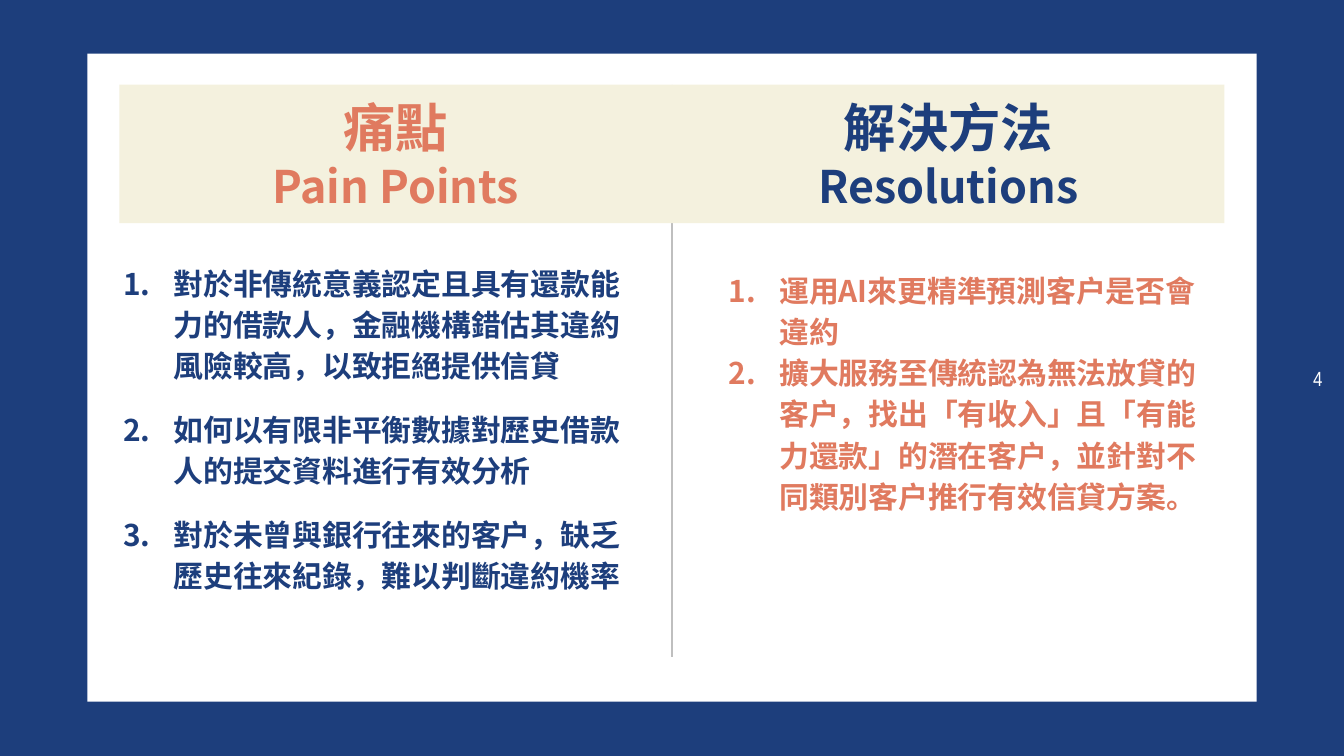
from pptx import Presentation
from pptx.dml.color import RGBColor as Rgb
from pptx.enum.shapes import MSO_CONNECTOR as Conn, MSO_SHAPE as Kind
from pptx.enum.text import MSO_ANCHOR as Anchor, PP_ALIGN as Align
from pptx.oxml.ns import qn
from pptx.util import Pt
from lxml.etree import SubElement as Sub

NAVY, CORAL, CREAM, WHITE, GREY = "1D3E7C", "E07A5F", "F4F1DE", "FFFFFF", "BFBFBF"
FACE = "Noto Sans CJK TC"
MID, TOP = 360, 45.4

PAINS = [
    "對於非傳統意義認定且具有還款能力的借款人，金融機構錯估其違約風險較高，以致拒絕提供信貸",
    "如何以有限非平衡數據對歷史借款人的提交資料進行有效分析",
    "對於未曾與銀行往來的客戶，缺乏歷史往來紀錄，難以判斷違約機率",
]
FIXES = [
    "運用AI來更精準預測客戶是否會違約",
    "擴大服務至傳統認為無法放貸的客戶，找出「有收入」且「有能力還款」的潛在客戶，"
    "並針對不同類別客戶推行有效信貸方案。",
]


def paint(part, hue):
    """Give a fill or line format one solid colour."""
    part.solid()
    part.fore_color.rgb = Rgb.from_string(hue)


def apply(item, form):
    """Set every attribute named in a dict of format values."""
    for key, val in form.items():
        setattr(item, key, val)


def style(run, size, hue, bold=True, face=FACE):
    """Set the font of a run for Latin and East Asian text."""
    apply(run.font, {"name": face, "size": Pt(size), "bold": bold})
    paint(run.font.fill, hue)
    Sub(run.font._element, qn("a:ea"), typeface=face)


def frame(shape, pad_x, pad_y, anchor):
    """Set wrapping, padding and anchor, and return the text frame."""
    text = shape.text_frame
    apply(text, {
        "word_wrap": True, "vertical_anchor": anchor,
        "margin_left": Pt(pad_x), "margin_right": Pt(pad_x),
        "margin_top": Pt(pad_y), "margin_bottom": Pt(pad_y),
    })
    return text


def rect(slide, box, hue):
    """Add a plain filled rectangle."""
    shape = slide.shapes.add_shape(Kind.RECTANGLE, *map(Pt, box))
    shape.shadow.inherit = False
    paint(shape.fill, hue)
    shape.line.fill.background()
    return shape


def rule(slide, x, top, end):
    """Add a thin upright divider."""
    line = slide.shapes.add_connector(Conn.STRAIGHT, Pt(x), Pt(top), Pt(x), Pt(end))
    paint(line.line.fill, GREY)
    line.line.width = Pt(1)
    Sub(line._element.spPr, qn("a:effectLst"))


def head(slide, left, title, sub, hue):
    """Add a column heading in two languages."""
    shape = rect(slide, (left, TOP, 296, 74.2), CREAM)
    text = frame(shape, 7.2, 7.2, Anchor.MIDDLE)
    for num, (words, size) in enumerate([(title, 28), (sub, 24)]):
        para = text.add_paragraph() if num else text.paragraphs[0]
        para.alignment = Align.CENTER
        run = para.add_run()
        run.text = words
        style(run, size, hue)


def steps(slide, box, pad, items, hue, left, gap=0):
    """Add a numbered list with a hanging indent."""
    shape = slide.shapes.add_textbox(*map(Pt, box))
    text = frame(shape, 7.2, pad, Anchor.TOP)
    for num, words in enumerate(items):
        para = text.add_paragraph() if num else text.paragraphs[0]
        apply(para, {"line_spacing": 1.15, "space_before": Pt(gap if num else 0)})
        prop = para._p.get_or_add_pPr()
        prop.set("marL", str(Pt(left)))
        prop.set("indent", str(Pt(-27)))
        tint = Sub(prop, qn("a:buClr"))
        Sub(tint, qn("a:srgbClr"), val=hue)
        Sub(prop, qn("a:buFont"), typeface=FACE)
        Sub(prop, qn("a:buAutoNum"), type="arabicPeriod")
        run = para.add_run()
        run.text = words
        style(run, 16, hue)


def page(slide, num):
    """Add the page number at the right edge."""
    shape = slide.shapes.add_textbox(Pt(665.3), Pt(0), Pt(43.2), Pt(405))
    para = frame(shape, 0, 0, Anchor.MIDDLE).paragraphs[0]
    para.alignment = Align.RIGHT
    run = para.add_run()
    run.text = num
    style(run, 11, WHITE, False, "Arial Narrow")


def main():
    """Build the slide and save it."""
    deck = Presentation()
    apply(deck, {"slide_width": Pt(720), "slide_height": Pt(405)})
    slide = deck.slides.add_slide(deck.slide_layouts[6])
    paint(slide.background.fill, NAVY)
    page(slide, "4")
    rect(slide, (46.8, 28.8, 626.4, 347.2), WHITE)
    rule(slide, MID, TOP, 352)
    head(slide, MID - 296, "痛點", "Pain Points", CORAL)
    head(slide, MID, "解決方法", "Resolutions", NAVY)
    steps(slide, (59, 136, 285, 191.5), 3.6, PAINS, NAVY, 27, 12)
    steps(slide, (373.7, 136, 276.5, 172), 7.2, FIXES, CORAL, 36.7)
    deck.save("out.pptx")


if __name__ == "__main__":
    main()
